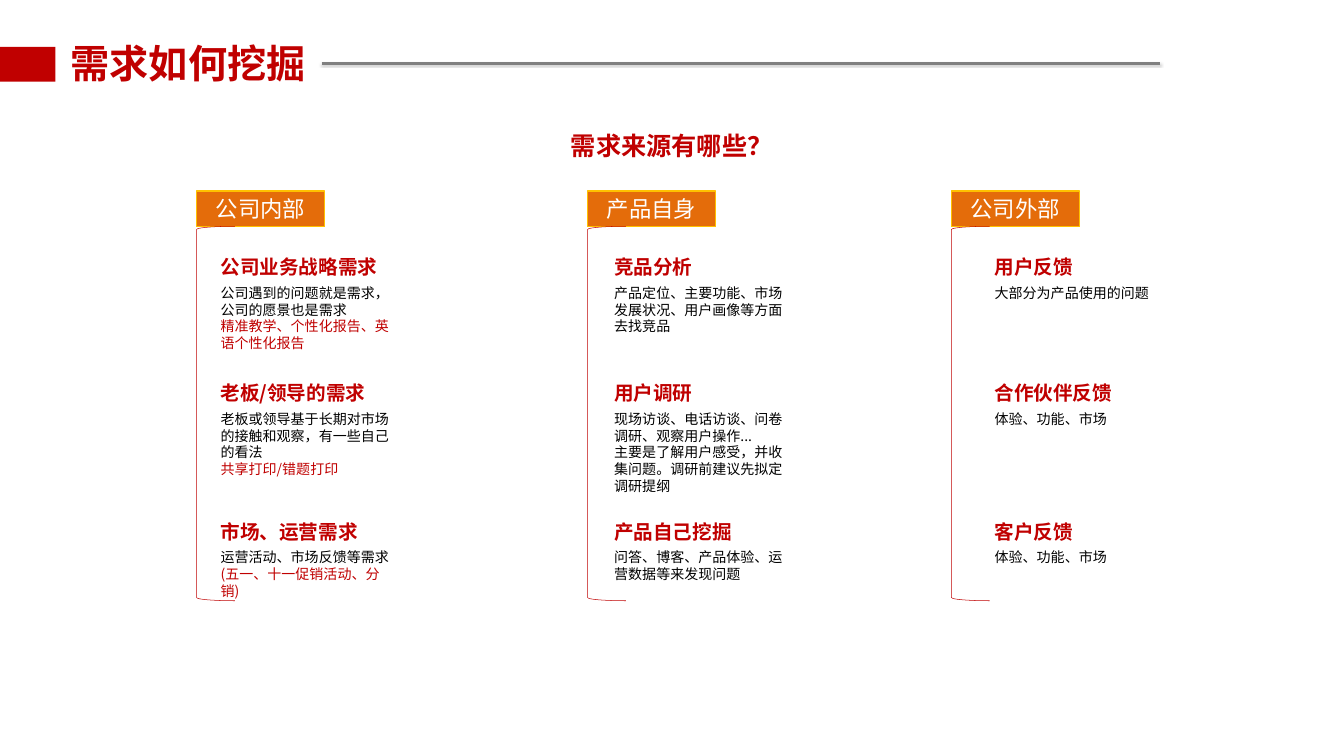
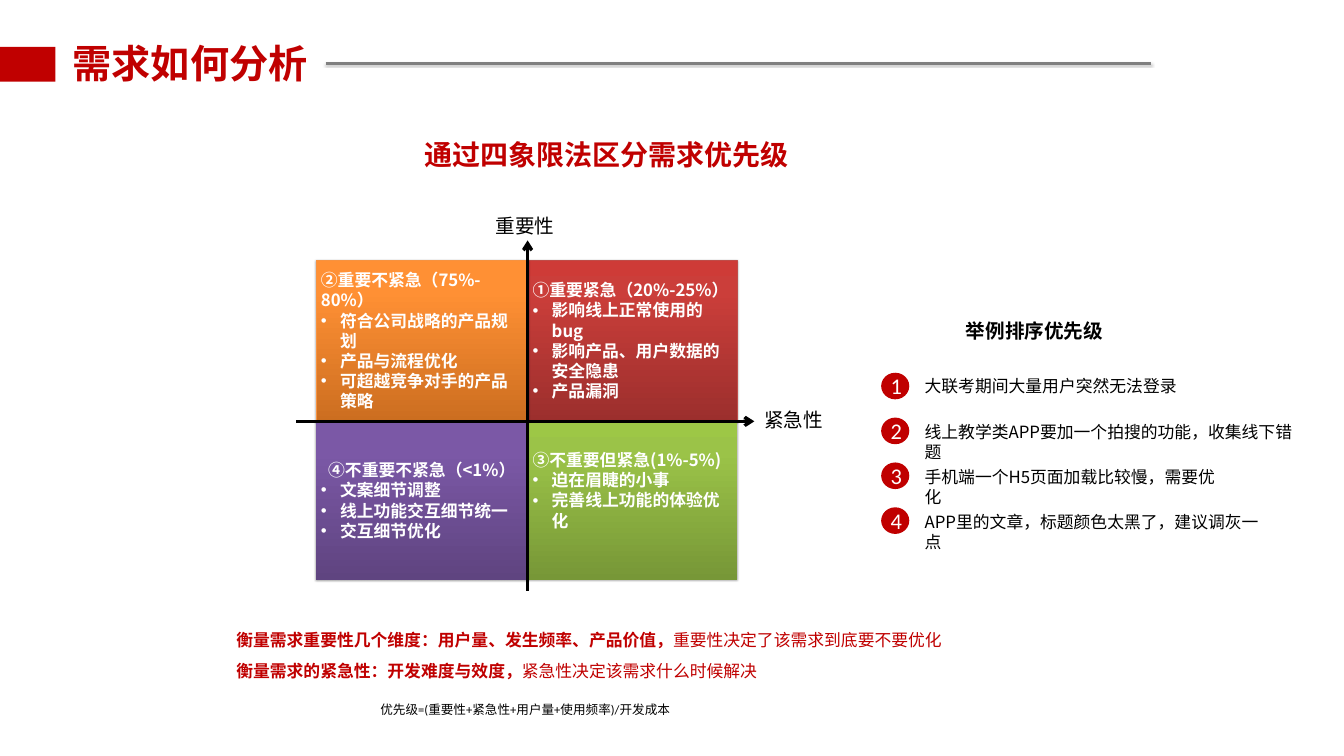
from dataclasses import dataclass
from typing import NamedTuple

from lxml.etree import SubElement
from pptx import Presentation
from pptx.dml.color import RGBColor
from pptx.enum.shapes import MSO_CONNECTOR, MSO_SHAPE as SHAPE
from pptx.enum.text import MSO_ANCHOR as ANCHOR, MSO_AUTO_SIZE as AUTOSIZE, PP_ALIGN as ALIGN
from pptx.oxml.ns import qn
from pptx.util import Emu, Pt

EMU_PER_PX = 9144


@dataclass(frozen=True)
class Theme:
    """Colours, fonts and type sizes of the deck."""
    red: str = "C00000"
    orange: str = "E46C0A"
    gold: str = "FFC000"
    grey: str = "808080"
    black: str = "000000"
    white: str = "FFFFFF"
    cjk: str = "Noto Sans CJK SC"
    latin: str = "Calibri"
    title: int = 56
    subtitle: int = 40
    question: int = 36
    label: int = 32
    heading: int = 28
    note: int = 24
    body: int = 20
    formula: int = 18


class Topic(NamedTuple):
    """One source of requirements with its explanation."""
    heading: str
    width: int
    rows: int
    details: tuple
    example: str = ""


class Quadrant(NamedTuple):
    """One field of the priority matrix."""
    box: tuple
    shades: tuple
    edge: str
    heading: str
    points: tuple
    align: ALIGN = ALIGN.LEFT
    bottom_inset: int = 5


THEME = Theme()

COLUMNS = (
    ("公司内部", 390, 428, (
        Topic("公司业务战略需求", 517, 4, ("公司遇到的问题就是需求，公司的愿景也是需求",),
              "精准教学、个性化报告、英语个性化报告"),
        Topic("老板/领导的需求", 408, 4,
              ("老板或领导基于长期对市场的接触和观察，有一些自己的看法",), "共享打印/错题打印"),
        Topic("市场、运营需求", 354, 2, ("运营活动、市场反馈等需求",),
              "(五一、十一促销活动、分销)"))),
    ("产品自身", 1166, 1209, (
        Topic("竞品分析", 234, 3, ("产品定位、主要功能、市场发展状况、用户画像等方面去找竞品",)),
        Topic("用户调研", 234, 5, ("现场访谈、电话访谈、问卷调研、观察用户操作...",
                               "主要是了解用户感受，并收集问题。调研前建议先拟定调研提纲")),
        Topic("产品自己挖掘", 285, 2, ("问答、博客、产品体验、运营数据等来发现问题",)))),
    ("公司外部", 1888, 1964, (
        Topic("用户反馈", 234, 1, ("大部分为产品使用的问题",)),
        Topic("合作伙伴反馈", 302, 1, ("体验、功能、市场",)),
        Topic("客户反馈", 217, 1, ("体验、功能、市场",)))),
)
TOPIC_TOPS = (501, 751, 1026)

QUADRANTS = (
    Quadrant((1047, 516, 416, 319), ("9C2F2D", "CB3E3A", "CE3B37"), "BF4C48",
             "①重要紧急（20%-25%）",
             ("影响线上正常使用的bug", "影响产品、用户数据的安全隐患", "产品漏洞")),
    Quadrant((1047, 835, 416, 315), ("779737", "9BC348", "9DC746"), "",
             "③不重要但紧急(1%-5%)", ("迫在眉睫的小事", "完善线上功能的体验优化"),
             bottom_inset=45),
    Quadrant((627, 516, 420, 319), ("CC6E20", "FF9034", "FF9136"), "F69240",
             "②重要不紧急（75%-80%）",
             ("符合公司战略的产品规划", "产品与流程优化", "可超越竞争对手的产品策略")),
    Quadrant((627, 835, 420, 315), ("5F4480", "7B58A6", "7C57A8"), "",
             "④不重要不紧急（<1%）",
             ("文案细节调整", "线上功能交互细节统一", "交互细节优化"), ALIGN.CENTER),
)

EXAMPLES = (
    ("大联考期间大量用户突然无法登录", 522),
    ("线上教学类APP要加一个拍搜的功能，收集线下错题", 774),
    ("手机端一个H5页面加载比较慢，需要优化", 624),
    ("APP里的文章，标题颜色太黑了，建议调灰一点", 707),
)


def px(length):
    """Turn px into EMU."""
    return Emu(length * EMU_PER_PX)


def write(frame, text, size, color=THEME.black, bold=False, font=THEME.cjk,
          align=ALIGN.LEFT, spacing=None, bullet=False, tail=""):
    """Append a paragraph; tail is a regular-weight ending."""
    paragraph = frame.paragraphs[0]
    if paragraph.runs:
        paragraph = frame.add_paragraph()
    paragraph.alignment = align
    if spacing:
        paragraph.line_spacing = spacing
    if bullet:
        layout = paragraph._p.get_or_add_pPr()
        layout.set("marL", str(px(38)))
        layout.set("indent", str(-px(38)))
        SubElement(layout, qn("a:buFont"), typeface="Arial")
        SubElement(layout, qn("a:buChar"), char="•")
    for words, weight in ((text, bold), (tail, False)):
        if words:
            run = paragraph.add_run()
            run.text = words
            run.font.size = Pt(size)
            run.font.bold = weight
            run.font.name = font
            run.font.color.rgb = RGBColor.from_string(color)
            SubElement(run._r.get_or_add_rPr(), qn("a:ea"), typeface=THEME.cjk)


def cast_shadow(effects):
    """Put a soft downward shadow into an effect list."""
    shadow = SubElement(effects, qn("a:outerShdw"), blurRad=str(Pt(3.1)),
                        dist=str(Pt(1.8)), dir="5400000", rotWithShape="0")
    tint = SubElement(shadow, qn("a:srgbClr"), val=THEME.black)
    SubElement(tint, qn("a:alpha"), val="35000")


class Deck:
    """Holds the style and the slide being drawn."""

    def __init__(self, theme):
        """Start an empty deck."""
        self.theme = theme
        self.deck = Presentation()
        self.deck.slide_width, self.deck.slide_height = px(2667), px(1500)
        self.slide = None

    def new_slide(self, title, rule_start, rule_end):
        """Add a slide with red band, title and rule."""
        self.slide = self.deck.slides.add_slide(self.deck.slide_layouts[6])
        self.shape(SHAPE.RECTANGLE, (0, 93, 110, 69), fill=self.theme.red)
        self.text((109, 74, rule_start - 109, 104), title, size=self.theme.title,
                  color=self.theme.red, bold=True, align=ALIGN.CENTER)
        self.line((rule_start, 126), (rule_end, 126), self.theme.grey, 3, shadow=True)

    def shape(self, preset, box, fill=None, edge=None, weight=1, shadow=False):
        """Add a preset shape; a tuple of fills makes an upward gradient."""
        shape = self.slide.shapes.add_shape(preset, *map(px, box))
        if isinstance(fill, tuple):
            self.gradient(shape, fill)
        elif fill:
            shape.fill.solid()
            shape.fill.fore_color.rgb = RGBColor.from_string(fill)
        else:
            shape.fill.background()
        if edge:
            shape.line.color.rgb = RGBColor.from_string(edge)
            shape.line.width = Pt(weight)
        else:
            shape.line.fill.background()
        shape.shadow.inherit = False
        if shadow:
            cast_shadow(shape._element.spPr.find(qn("a:effectLst")))
        shape.text_frame.word_wrap = True
        shape.text_frame.vertical_anchor = ANCHOR.MIDDLE
        return shape

    def gradient(self, shape, shades):
        """Fill a shape from bottom to top with three shades."""
        shape.fill.gradient()
        shape.fill.gradient_angle = 90
        stops = shape._element.spPr.find(".//" + qn("a:gsLst"))
        for stop in list(stops):
            stops.remove(stop)
        for percent, shade in zip((0, 80, 100), shades):
            stop = SubElement(stops, qn("a:gs"), pos=str(percent * 1000))
            SubElement(stop, qn("a:srgbClr"), val=shade)

    def text(self, box, *lines, **style):
        """Add a wrapping text box and return its frame."""
        frame = self.slide.shapes.add_textbox(*map(px, box)).text_frame
        frame.word_wrap = True
        frame.auto_size = AUTOSIZE.SHAPE_TO_FIT_TEXT
        for line in lines:
            write(frame, line, **style)
        return frame

    def line(self, start, end, color, weight, shadow=False, arrow=False):
        """Add a straight line, optionally with an arrowhead at its end."""
        line = self.slide.shapes.add_connector(
            MSO_CONNECTOR.STRAIGHT, *map(px, start + end))
        line.line.color.rgb = RGBColor.from_string(color)
        line.line.width = Pt(weight)
        if arrow:
            SubElement(line.line._get_or_add_ln(), qn("a:tailEnd"), type="arrow")
        effects = SubElement(line._element.spPr, qn("a:effectLst"))
        if shadow:
            cast_shadow(effects)

    def source_column(self, label, left, text_left, topics):
        """Add a labelled bracket with its topics."""
        theme = self.theme
        tag = self.shape(SHAPE.RECTANGLE, (left, 379, 254, 71), theme.orange, theme.gold, 2)
        write(tag.text_frame, label, theme.label, theme.white, align=ALIGN.CENTER)
        self.shape(SHAPE.LEFT_BRACKET, (left, 449, 76, 743), edge=theme.red, weight=0.75)
        for top, topic in zip(TOPIC_TOPS, topics):
            self.text((text_left, top, topic.width, 57), topic.heading,
                      size=theme.heading, color=theme.red, bold=True)
            frame = self.text((text_left, top + 58, 370, 11 + 33 * topic.rows),
                              *topic.details, size=theme.body)
            if topic.example:
                write(frame, topic.example, theme.body, theme.red)

    def quadrant(self, field):
        """Add one shaded field of the matrix."""
        shape = self.shape(SHAPE.RECTANGLE, field.box, field.shades, field.edge, 0.75, shadow=True)
        frame = shape.text_frame
        frame.margin_bottom = px(field.bottom_inset)
        style = dict(size=self.theme.note, color=self.theme.white, bold=True)
        write(frame, field.heading, align=field.align, **style)
        for point in field.points:
            write(frame, point, bullet=True, **style)

    def example(self, rank, sentence, width):
        """Add a numbered example of the ranking."""
        theme = self.theme
        badge = self.shape(SHAPE.OVAL, (1750, 652 + 89 * rank, 53, 50), theme.red, theme.red, 2)
        write(badge.text_frame, str(rank), theme.label, theme.white,
              font=theme.latin, align=ALIGN.CENTER)
        self.text((1825, 651 + 90 * rank, width, 50), sentence, size=theme.note)


def build_sources(deck):
    """Draw the slide on where requirements come from."""
    deck.new_slide("需求如何挖掘", 638, 2302)
    deck.text((1123, 253, 420, 71), "需求来源有哪些？", size=THEME.question,
              color=THEME.red, bold=True)
    for column in COLUMNS:
        deck.source_column(*column)


def build_priorities(deck):
    """Draw the slide on ranking requirements."""
    deck.new_slide("需求如何分析", 646, 2285)
    deck.text((833, 267, 744, 77), "通过四象限法区分需求优先级", size=THEME.subtitle,
              color=THEME.red, bold=True)
    for field in QUADRANTS:
        deck.quadrant(field)
    deck.line((588, 836), (1497, 836), THEME.black, 4.5, arrow=True)
    deck.line((1047, 1172), (1047, 477), THEME.black, 4.5, arrow=True)
    for axis, left, top in (("紧急性", 1507, 804), ("重要性", 974, 420)):
        deck.text((left, top, 138, 57), axis, size=THEME.heading, font=THEME.latin)

    criteria = deck.text((459, 1225, 1491, 131))
    for rule, effect in (
            ("衡量需求重要性几个维度：用户量、发生频率、产品价值，", "重要性决定了该需求到底要不要优化"),
            ("衡量需求的紧急性：开发难度与效度，", "紧急性决定该需求什么时候解决")):
        write(criteria, rule, THEME.note, THEME.red, bold=True, spacing=1.5, tail=effect)
    deck.text((745, 1388, 595, 40), "优先级=(重要性+紧急性+用户量+使用频率)/开发成本",
              size=THEME.formula, font=THEME.latin)

    deck.text((1907, 628, 294, 57), "举例排序优先级", size=THEME.heading, bold=True)
    for rank, (sentence, width) in enumerate(EXAMPLES, start=1):
        deck.example(rank, sentence, width)


def main():
    """Build and save the deck."""
    deck = Deck(THEME)
    build_sources(deck)
    build_priorities(deck)
    deck.deck.save("out.pptx")


if __name__ == "__main__":
    main()
